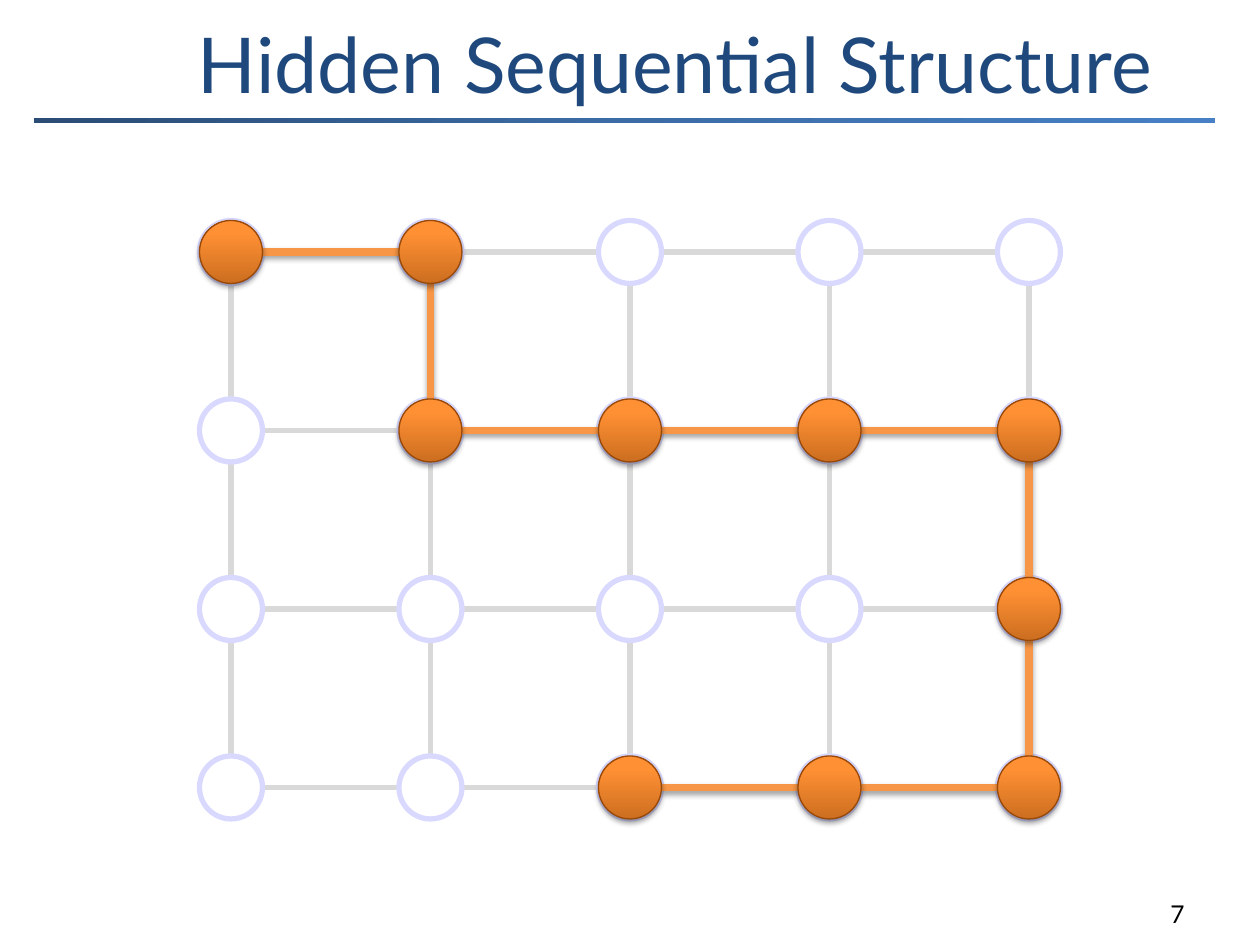
"""Build the slide showing a hidden sequence through a grid of nodes."""
from lxml import etree
from pptx import Presentation
from pptx.dml.color import RGBColor
from pptx.enum.shapes import MSO_CONNECTOR, MSO_SHAPE
from pptx.enum.text import MSO_ANCHOR, PP_ALIGN
from pptx.oxml.ns import qn
from pptx.util import Pt

STRAIGHT = MSO_CONNECTOR.STRAIGHT
RECT, OVAL = MSO_SHAPE.RECTANGLE, MSO_SHAPE.OVAL
BOTTOM = MSO_ANCHOR.BOTTOM
LEFT, RIGHT = PP_ALIGN.LEFT, PP_ALIGN.RIGHT
rgb = RGBColor.from_string

XS = [132 + 114 * col for col in range(5)]
YS = [144 + 102 * row for row in range(4)]
RADIUS = 18
PATH = [(0, 0), (0, 1), (1, 1), (1, 2), (1, 3), (1, 4), (2, 4), (3, 4), (3, 3), (3, 2)]
BAR_STOPS = [(0, "2A4C75"), (50, "3C6CA6"), (100, "4780C5")]
NODE_STOPS = [(0, "CC6E20"), (80, "FF9034"), (100, "FF9136")]


def add_line(x1, y1, x2, y2, color, width, shadow=False):
    s = slide.shapes.add_connector(STRAIGHT, Pt(x1), Pt(y1), Pt(x2), Pt(y2))
    s.line.color.rgb = rgb(color)
    s.line.width = Pt(width)
    effects = etree.SubElement(s._element.spPr, qn("a:effectLst"))
    if shadow:
        add_shadow(effects)


def add_shadow(effects):
    outer = etree.SubElement(effects, qn("a:outerShdw"), blurRad=str(Pt(3.1)),
                             dist=str(Pt(1.8)), dir="5400000", rotWithShape="0")
    black = etree.SubElement(outer, qn("a:srgbClr"), val="000000")
    etree.SubElement(black, qn("a:alpha"), val="35000")


prs = Presentation()
prs.slide_width, prs.slide_height = Pt(720), Pt(540)
slide = prs.slides.add_slide(prs.slide_layouts[6])

bar = slide.shapes.add_shape(RECT, Pt(18), Pt(66), Pt(678), Pt(6))
bar.line.color.rgb = rgb("FFFFFF")
bar.line.width = Pt(3)
gradients = [(bar, BAR_STOPS, 315)]

for x in XS:
    add_line(x, YS[0] + RADIUS, x, YS[-1] - RADIUS, "000000", 3)
for y in YS:
    add_line(XS[0] + RADIUS, y, XS[-1] - RADIUS, y, "000000", 3)

for y in YS:
    for x in XS:
        s = slide.shapes.add_shape(OVAL, Pt(x - RADIUS), Pt(y - RADIUS), Pt(2 * RADIUS), Pt(2 * RADIUS))
        s.shadow.inherit = False
        s.fill.solid()
        s.fill.fore_color.rgb = rgb("FFFFFF")
        s.line.color.rgb = rgb("0000FF")
        s.line.width = Pt(3)

veil = slide.shapes.add_shape(RECT, Pt(102), Pt(114), Pt(510), Pt(360))
veil.shadow.inherit = False
veil.fill.solid()
veil.fill.fore_color.rgb = rgb("FFFFFF")
veil.line.fill.background()
white = veil._element.spPr.find(qn("a:solidFill")).find(qn("a:srgbClr"))
etree.SubElement(white, qn("a:alpha"), val="85000")

for (r1, c1), (r2, c2) in zip(PATH, PATH[1:]):
    dx, dy = RADIUS * (c2 - c1), RADIUS * (r2 - r1)
    add_line(XS[c1] + dx, YS[r1] + dy, XS[c2] - dx, YS[r2] - dy, "F79646", 4.5, True)

for row, col in PATH:
    s = slide.shapes.add_shape(OVAL, Pt(XS[col] - RADIUS), Pt(YS[row] - RADIUS), Pt(2 * RADIUS), Pt(2 * RADIUS))
    s.line.color.rgb = rgb("984807")
    s.line.width = Pt(0.75)
    gradients.append((s, NODE_STOPS, 90))

for s, stops, angle in gradients:
    s.fill.gradient()
    s.fill.gradient_angle = angle
    s.shadow.inherit = False
    spPr = s._element.spPr
    stop_list = spPr.find(qn("a:gradFill")).find(qn("a:gsLst"))
    for old in list(stop_list):
        stop_list.remove(old)
    for position, color in stops:
        stop = etree.SubElement(stop_list, qn("a:gs"), pos=str(position * 1000))
        etree.SubElement(stop, qn("a:srgbClr"), val=color)
    if s is not bar:
        add_shadow(spPr.find(qn("a:effectLst")))

for text, x, y, w, h, size, color, align in [
    ("Hidden Sequential Structure", 106, 6, 590, 60, 44, "1F497D", LEFT),
    ("7", 534, 498, 150, 36, 14, "000000", RIGHT),
]:
    tf = slide.shapes.add_textbox(Pt(x), Pt(y), Pt(w), Pt(h)).text_frame
    tf.word_wrap = True
    tf.vertical_anchor = BOTTOM
    p = tf.paragraphs[0]
    p.alignment = align
    r = p.add_run()
    r.text = text
    r.font.name = "Lato"
    r.font.size = Pt(size)
    r.font.color.rgb = rgb(color)

prs.save("out.pptx")
